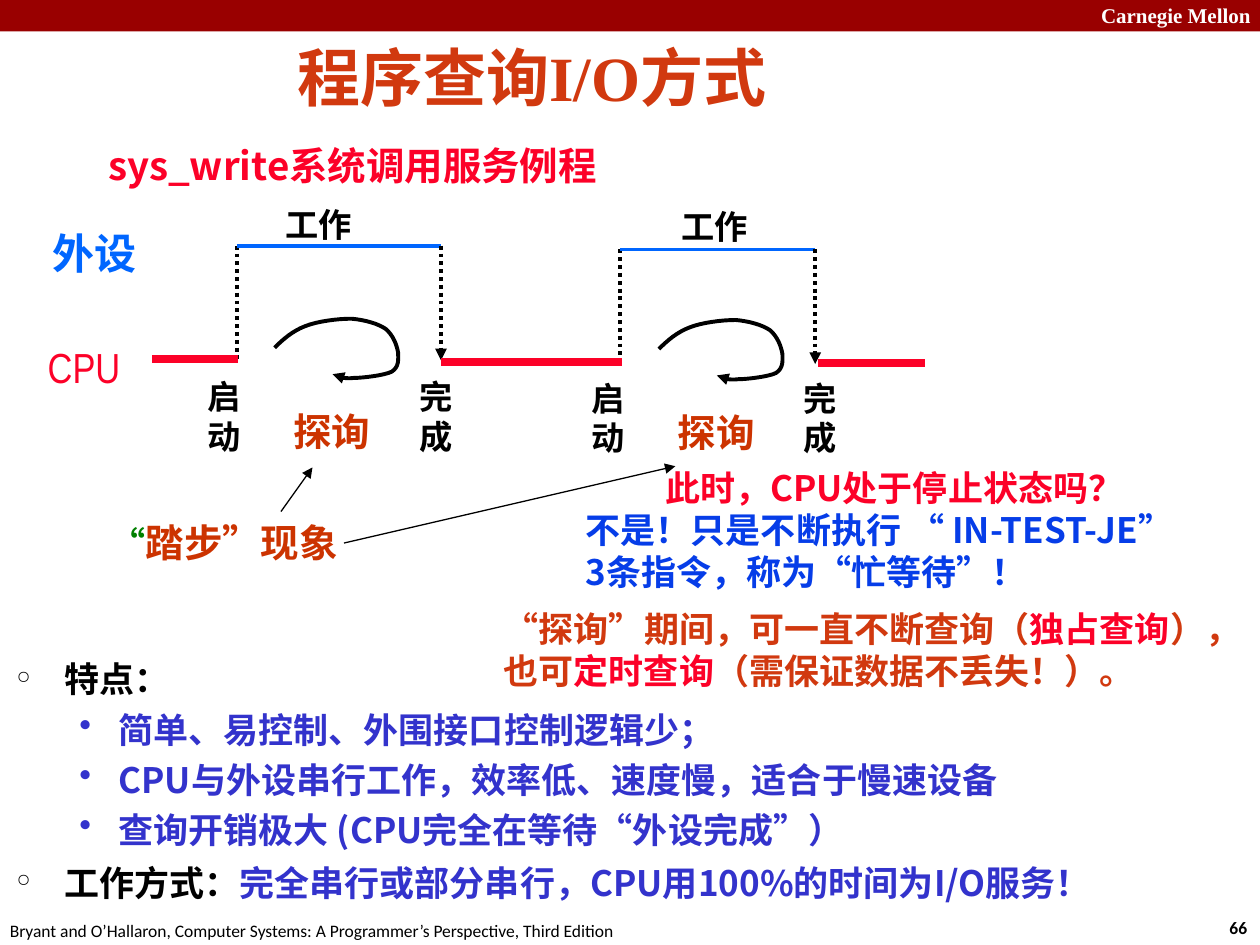
import dataclasses
import typing

import lxml.etree
import pptx
import pptx.dml.color
import pptx.enum.dml
import pptx.enum.shapes
import pptx.enum.text
import pptx.oxml.ns
import pptx.util

Inches = pptx.util.Inches
Pt = pptx.util.Pt
qn = pptx.oxml.ns.qn


@dataclasses.dataclass(frozen=True)
class Theme:
    # Colours
    bar: str = "990000"
    white: str = "FFFFFF"
    black: str = "000000"
    title: str = "D1390F"
    red: str = "FC0128"
    sky: str = "0066FF"
    blue: str = "063DE8"
    point: str = "3333CC"
    rust: str = "CC3300"
    green: str = "008000"
    # Fonts
    serif: str = "Times New Roman"
    sans: str = "Noto Sans CJK SC"
    thin: str = "Arial Narrow"
    plain: str = "Calibri"
    # Type sizes
    head: int = 36
    large: int = 24
    mid: int = 22
    text: int = 20
    label: int = 19
    small: int = 12
    foot: int = 10


T = Theme()


class Run(typing.NamedTuple):
    text: str
    tint: str
    size: float = T.text
    face: str = T.sans
    bold: bool = True


class Box(typing.NamedTuple):
    left: float
    top: float
    width: float
    height: float
    runs: list
    wrap: bool = True


class Line(typing.NamedTuple):
    start: tuple
    end: tuple
    tint: str = T.black
    width: float = 2.25
    dots: bool = False
    arrow: bool = False


class Point(typing.NamedTuple):
    runs: list
    sub: bool = False
    space: float = 7
    lead: float = 0.9


class Cycle(typing.NamedTuple):
    start: float
    end: float
    top: float
    work: tuple
    shift: tuple


def paint(shape, tint: str) -> None:
    shape.fill.solid()
    shape.fill.fore_color.rgb = pptx.dml.color.RGBColor.from_string(tint)


def write(para, runs: list) -> None:
    for item in runs:
        run = para.add_run()
        run.text = item.text
        style = {"size": Pt(item.size), "bold": item.bold, "name": item.face}
        for key, value in style.items():
            setattr(run.font, key, value)
        paint(run.font, item.tint)
        east = lxml.etree.SubElement(run.font._element, qn("a:ea"))
        east.set("typeface", T.sans)


def draw_box(slide, box: Box) -> None:
    shape = slide.shapes.add_textbox(*map(Inches, box[:4]))
    shape.text_frame.word_wrap = box.wrap
    write(shape.text_frame.paragraphs[0], box.runs)


def stroke(shape, tint: str, width: float, dots: bool, arrow: bool) -> None:
    line = shape.line
    paint(line, tint)
    line.width = Pt(width)
    if dots:
        line.dash_style = pptx.enum.dml.MSO_LINE.ROUND_DOT
    if arrow:
        tail = lxml.etree.SubElement(line._get_or_add_ln(), qn("a:tailEnd"))
        tail.set("type", "triangle")


def draw_line(slide, line: Line) -> None:
    kind = pptx.enum.shapes.MSO_CONNECTOR.STRAIGHT
    shape = slide.shapes.add_connector(kind, *map(Inches, line.start + line.end))
    stroke(shape, *line[2:])
    lxml.etree.SubElement(shape._element.spPr, qn("a:effectLst"))


# Loop arrow: a start point, then cubic segments of three points each
LOOP = [(2.18, 2.76),
        (2.25, 2.69), (2.32, 2.63), (2.42, 2.59),
        (2.52, 2.55), (2.68, 2.53), (2.79, 2.53),
        (2.90, 2.54), (3.00, 2.57), (3.06, 2.61),
        (3.12, 2.66), (3.15, 2.74), (3.16, 2.80),
        (3.16, 2.85), (3.17, 2.91), (3.11, 2.95),
        (3.05, 2.98), (2.88, 3.00), (2.81, 3.00),
        (2.73, 3.01), (2.68, 2.99), (2.64, 2.97)]


def draw_loop(slide, shift: tuple, steps: int = 8) -> None:
    spots = []
    for i in range(0, len(LOOP) - 1, 3):
        for step in range(1, steps + 1):
            t = step / steps
            parts = ((1 - t) ** 3, 3 * t * (1 - t) ** 2, 3 * t * t * (1 - t), t ** 3)
            spots.append(tuple(
                Inches(shift[axis] + sum(w * p[axis] for w, p in zip(parts, LOOP[i:i + 4])))
                for axis in (0, 1)))
    first = [Inches(a + b) for a, b in zip(LOOP[0], shift)]
    path = slide.shapes.build_freeform(*first)
    path.add_line_segments(spots, close=False)
    shape = path.convert_to_shape()
    shape.shadow.inherit = False
    shape.fill.background()
    stroke(shape, T.black, 2.25, False, True)


def draw_cycle(slide, cycle: Cycle) -> None:
    start, end, top, work, (dx, dy) = cycle
    base = top + 0.91
    draw_line(slide, Line((start, top), (start, base), dots=True))
    draw_line(slide, Line((start, top), (end, top), T.sky))
    draw_line(slide, Line((end, top), (end, base), dots=True, arrow=True))
    draw_loop(slide, cycle.shift)
    draw_box(slide, Box(*work, 1.22, 0.42, [Run("工作", T.black, T.label, T.serif)]))
    for text, left, top, width, height, tint, size in (
            ("启动", 1.55, 2.94, 0.57, 0.73, T.black, T.label),
            ("探询", 2.23, 3.19, 1.03, 0.47, T.rust, T.mid),
            ("完成", 3.23, 2.94, 0.52, 0.73, T.black, T.label)):
        run = Run(text, tint, size, T.serif)
        draw_box(slide, Box(left + dx, top + dy, width, height, [run]))


def draw_points(slide, points: list) -> None:
    frame = slide.shapes.add_textbox(*map(Inches, (0.06, 5.23, 9.78, 2.04))).text_frame
    style = {"word_wrap": True, "margin_left": Inches(0.07), "margin_right": Inches(0.07),
             "margin_top": Inches(0.03), "margin_bottom": Inches(0.03)}
    for key, value in style.items():
        setattr(frame, key, value)
    for i, point in enumerate(points):
        para = frame.add_paragraph() if i else frame.paragraphs[0]
        mark, left, hang = ("•", 0.81, 0.31) if point.sub else ("°", 0.38, 0.38)
        para.level = int(point.sub)
        props = para._p.get_or_add_pPr()
        props.set("marL", str(Inches(left)))
        props.set("indent", str(-Inches(hang)))
        lxml.etree.SubElement(props, qn("a:buChar")).set("char", mark)
        para.line_spacing = point.lead
        para.space_before = Pt(point.space if i else 0)
        write(para, point.runs)


CYCLES = [Cycle(1.88, 3.5, 1.95, (2.17, 1.57), (0, 0)),
          Cycle(4.92, 6.47, 1.98, (5.31, 1.59), (3.05, 0.01))]

LINES = [Line((1.21, 2.85), (1.89, 2.85), T.red, 4.5),
         Line((3.5, 2.87), (4.94, 2.87), T.red, 4.5),
         Line((6.49, 2.88), (7.34, 2.88), T.red, 4.5),
         Line((2.23, 4.06), (2.48, 3.71), width=0.75, arrow=True),
         Line((2.73, 4.31), (5.36, 3.7), width=0.75, arrow=True)]

BOXES = [
    Box(8.64, -0.03, 1.43, 0.3, [Run("Carnegie Mellon", T.white, T.small, T.serif)]),
    Box(9.66, 7.23, 0.37, 0.27, [Run("66", T.black, T.foot, T.plain)], False),
    Box(-0.02, 7.25, 5.08, 0.27, [Run(
        "Bryant and O’Hallaron, Computer Systems: A Programmer’s Perspective, Third Edition",
        T.black, T.foot, T.plain, False)], False),
    Box(0.76, 1.08, 4.21, 0.47, [Run("sys_write系统调用服务例程", T.red, T.mid)]),
    Box(0.32, 1.76, 0.99, 0.5, [Run("外设", T.sky, T.large, T.serif)]),
    Box(0.28, 2.66, 0.99, 0.5, [Run("CPU", T.red, T.large, T.thin, False)]),
    Box(0.78, 4.07, 2.16, 0.47, [
        Run("“", T.green, T.text, T.thin), Run("踏步", T.rust, T.mid, T.serif),
        Run("”", T.rust, T.mid), Run("现象", T.rust, T.mid, T.serif)]),
    Box(5.18, 3.65, 3.98, 0.43, [Run("此时，CPU处于停止状态吗？", T.red)]),
    Box(4.55, 3.99, 5.08, 0.77, [
        Run("不是！只是不断执行 “ IN-TEST-JE” 3条指令，称为“忙等待”！", T.blue)]),
    Box(3.9, 4.77, 5.9, 0.77, [
        Run("“", T.title), Run("探询", T.title, face=T.thin), Run("”", T.title),
        Run("期间，可一直不断查询（", T.title, face=T.thin),
        Run("独占查询", T.red, face=T.thin), Run("），也可", T.title, face=T.thin),
        Run("定时查询", T.red, face=T.thin),
        Run("（需保证数据不丢失！）。", T.title, face=T.thin)]),
]

POINTS = [
    Point([Run("特点：", T.black)]),
    Point([Run("简单、易控制、外围接口控制逻辑少；", T.point)], True),
    Point([Run("CPU与外设串行工作，效率低、速度慢，适合于慢速设备", T.point)], True),
    Point([Run("查询开销极大 (CPU完全在等待“外设完成”）", T.point)], True),
    Point([Run("工作方式：", T.black),
           Run("完全串行或部分串行，CPU用100%的时间为I/O服务！", T.point)], space=6, lead=1.0),
]


def main() -> None:
    deck = pptx.Presentation()
    deck.slide_width, deck.slide_height = Inches(10), Inches(7.5)
    slide = deck.slides.add_slide(deck.slide_layouts[5])

    # Top bar
    kind = pptx.enum.shapes.MSO_SHAPE.RECTANGLE
    bar = slide.shapes.add_shape(kind, 0, 0, Inches(10), Inches(0.25))
    bar.shadow.inherit = False
    paint(bar, T.bar)
    bar.line.fill.background()

    # Title
    title = slide.shapes.title
    for key, value in zip(("left", "top", "width", "height"), (2.26, 0.25, 6.24, 0.71)):
        setattr(title, key, Inches(value))
    title.text_frame.vertical_anchor = pptx.enum.text.MSO_ANCHOR.MIDDLE
    para = title.text_frame.paragraphs[0]
    para.alignment = pptx.enum.text.PP_ALIGN.LEFT
    write(para, [Run("程序查询I/O方式", T.title, T.head, T.serif)])

    # Timing diagram, notes and bullet list
    draw_points(slide, POINTS)
    for cycle in CYCLES:
        draw_cycle(slide, cycle)
    for line in LINES:
        draw_line(slide, line)
    for box in BOXES:
        draw_box(slide, box)
    deck.save("out.pptx")


if __name__ == "__main__":
    main()
